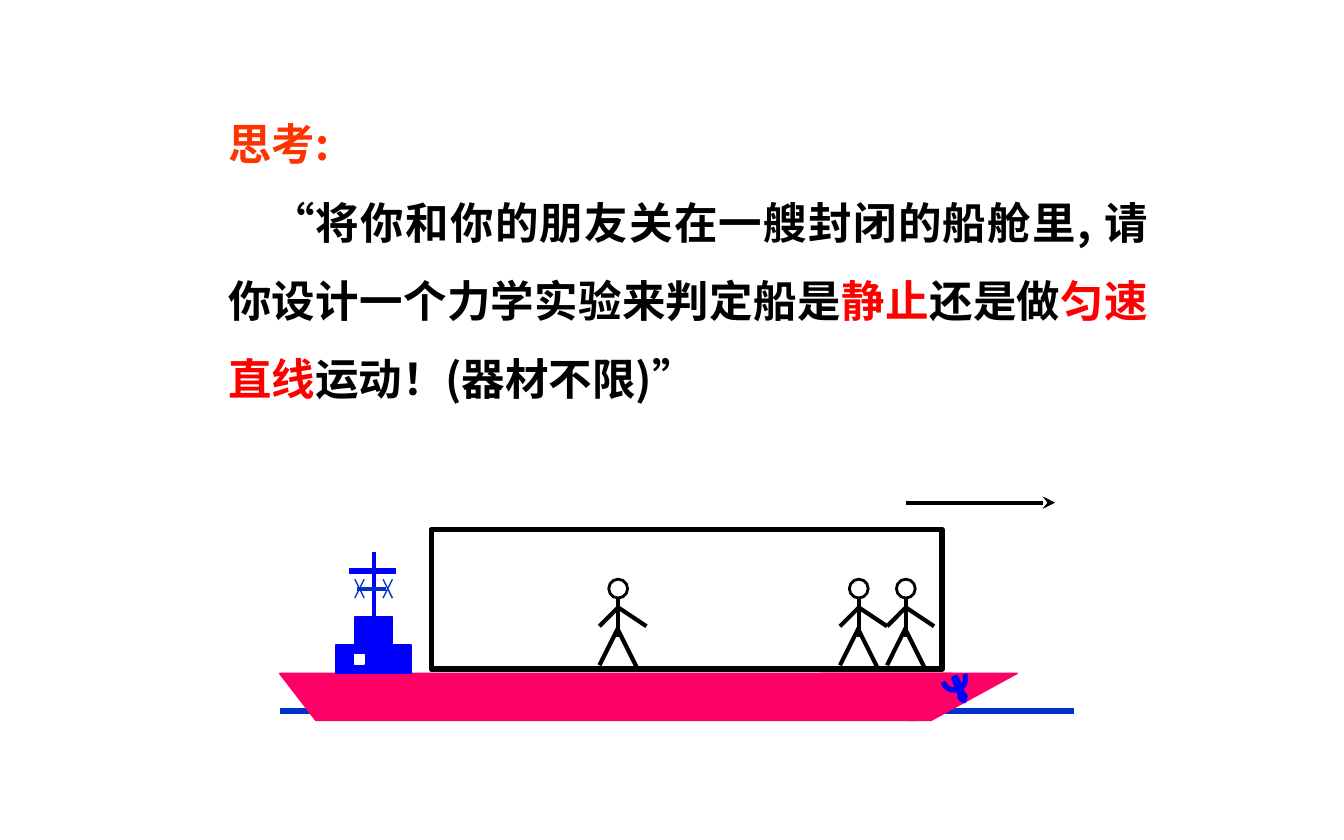
from math import cos, radians, sin

from lxml import etree
from pptx import Presentation
from pptx.dml.color import RGBColor
from pptx.enum.shapes import MSO_CONNECTOR as Connector, MSO_SHAPE as Preset
from pptx.enum.text import MSO_AUTO_SIZE as AutoSize, PP_ALIGN as Align
from pptx.oxml.ns import qn
from pptx.util import Inches, Pt

COLORS = {
    "black": "000000", "white": "FFFFFF", "orange": "FF3300", "red": "FF0000",
    "hull": "FF0066", "ship": "0000FF", "water": "0033CC",
}
FONT = "Noto Sans CJK SC"

presentation = Presentation()
presentation.slide_width, presentation.slide_height = Inches(10), Inches(6.25)
slide = presentation.slides.add_slide(presentation.slide_layouts[6])
shapes = slide.shapes


def add_line(x1, y1, x2, y2, color, width):
    line = shapes.add_connector(Connector.STRAIGHT, *map(Inches, (x1, y1, x2, y2)))
    line.line.color.rgb = RGBColor.from_string(COLORS[color])
    line.line.width = Pt(width)
    etree.SubElement(line._element.spPr, qn("a:effectLst"))
    return line


def paint(shape, fill, line, width):
    """Give a shape a flat fill (None for hollow) and an outline."""
    shape.shadow.inherit = False
    if fill:
        shape.fill.solid()
        shape.fill.fore_color.rgb = RGBColor.from_string(COLORS[fill])
    else:
        shape.fill.background()
    shape.line.color.rgb = RGBColor.from_string(COLORS[line])
    shape.line.width = Pt(width)


# Water, hull and anchor ring
add_line(2.08, 5.29, 7.99, 5.29, "water", 3)

ring = [(7.1 + radius * cos(radians(angle)), 5.05 + radius * sin(radians(angle)))
        for radius, angles in ((0.07, range(-20, 161, 15)), (0.1, range(160, -21, -15)))
        for angle in angles]
outlines = [
    ([(2.08, 5.01), (2.35, 5.36), (6.82, 5.36), (7.08, 5.01)], "hull"),
    ([(6.11, 5.01), (6.75, 5.36), (6.93, 5.36), (7.57, 5.01)], "hull"),
    (ring, "ship"),
]
for points, color in outlines:
    corners = [(Inches(x), Inches(y)) for x, y in points]
    builder = shapes.build_freeform(*corners[0])
    builder.add_line_segments(corners[1:], close=True)
    paint(builder.convert_to_shape(), color, color, 0.75)

# Bridge, porthole, anchor shank and cabin
anchor = shapes.add_shape(Preset.UP_ARROW, *map(Inches, (7.12, 5.04, 0.04, 0.18)))
anchor.adjustments[1] = 0.83
anchor.rotation = 158.3
paint(anchor, "ship", "ship", 3)

for box, fill, line, width in [
    ((2.5, 4.8, 0.56, 0.21), "ship", "ship", 0.75),
    ((2.64, 4.87, 0.07, 0.07), "white", "white", 0.75),
    ((2.64, 4.59, 0.28, 0.21), "ship", "ship", 0.75),
    ((3.21, 3.94, 3.8, 1.04), None, "black", 3),
]:
    paint(shapes.add_shape(Preset.RECTANGLE, *map(Inches, box)), fill, line, width)

# Mast with two crossed stays
add_line(2.78, 4.11, 2.78, 4.59, "ship", 2.25)
add_line(2.6, 4.25, 2.95, 4.25, "ship", 3)
add_line(2.66, 4.38, 2.87, 4.38, "water", 2.25)
for left in (2.64, 2.85):
    right = left + 0.07
    add_line(left, 4.31, right, 4.45, "water", 0.75)
    add_line(right, 4.31, left, 4.45, "water", 0.75)

# Direction of travel
travel = add_line(6.74, 3.74, 7.85, 3.74, "black", 2.25)
etree.SubElement(travel.line._get_or_add_ln(), qn("a:tailEnd"), type="stealth")

# People: each limb as start height, end offset and end height
LIMBS = [(4.45, 0, 4.74), (4.67, -0.14, 4.95), (4.69, 0.14, 4.97),
         (4.52, 0.21, 4.66), (4.52, -0.14, 4.66)]
for center in (4.6, 6.74, 6.39):
    head = shapes.add_shape(Preset.OVAL, *map(Inches, (center - 0.07, 4.31, 0.14, 0.14)))
    paint(head, None, "black", 1.5)
    for top, offset, bottom in LIMBS:
        add_line(center, top, center + offset, bottom, "black", 2.25)

# Question
question = shapes.add_textbox(*map(Inches, (1.6, 0.63, 7.04, 2.38)))
frame = question.text_frame
frame.word_wrap = True
frame.auto_size = AutoSize.SHAPE_TO_FIT_TEXT
paragraphs = [
    (0, [("思考:", "orange")]),
    (0.32, [
        ("“将你和你的朋友关在一艘封闭的船舱里, 请你设计一个力学实验来判定船是", "black"),
        ("静止", "red"),
        ("还是做", "black"),
        ("匀速直线", "red"),
        ("运动！(器材不限)”", "black"),
    ]),
]
for index, (indent, runs) in enumerate(paragraphs):
    paragraph = frame.add_paragraph() if index else frame.paragraphs[0]
    paragraph.alignment = Align.JUSTIFY
    paragraph.line_spacing = 1.5
    paragraph._p.get_or_add_pPr().set("indent", str(Inches(indent)))
    for text, color in runs:
        run = paragraph.add_run()
        run.text = text
        for name, value in {"name": FONT, "size": Pt(23.3), "bold": True}.items():
            setattr(run.font, name, value)
        run.font.color.rgb = RGBColor.from_string(COLORS[color])
        etree.SubElement(run._r.get_or_add_rPr(), qn("a:ea"), typeface=FONT)

presentation.save("out.pptx")
